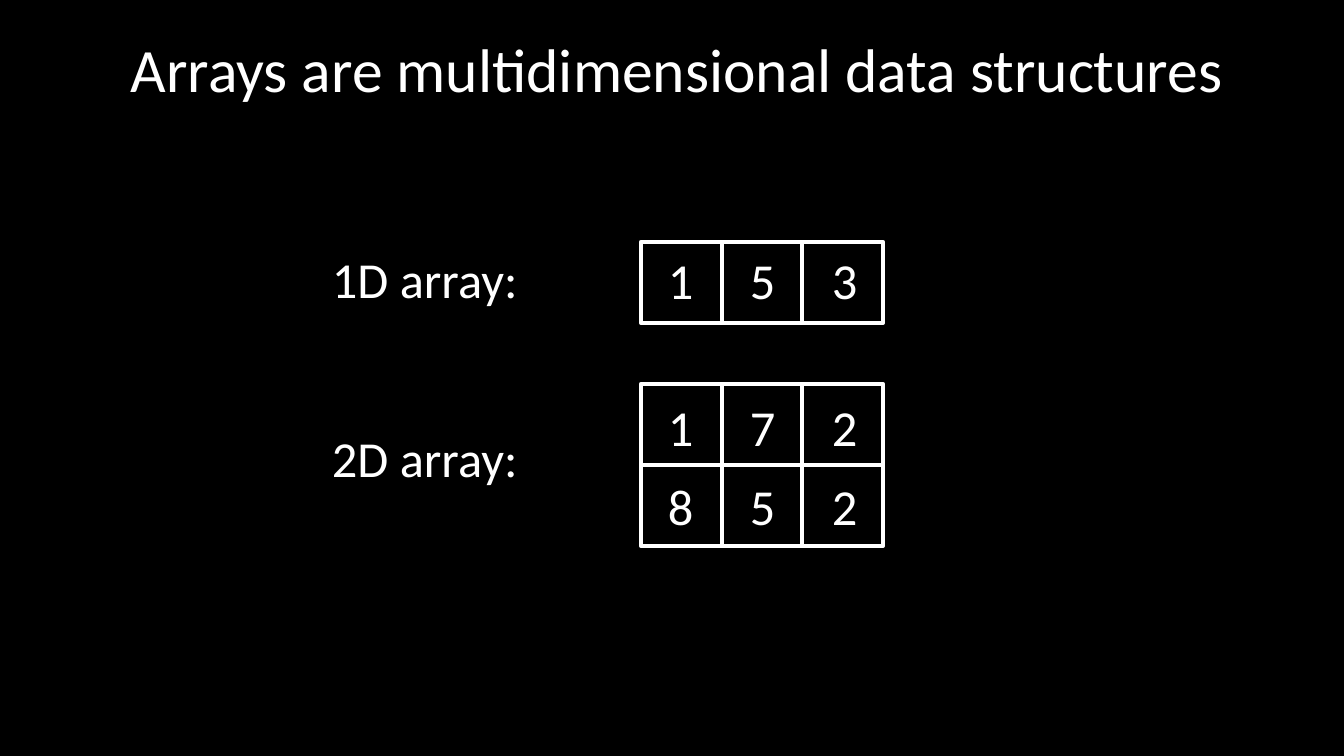
from dataclasses import dataclass

from pptx import Presentation
from pptx.dml.color import RGBColor
from pptx.enum.shapes import MSO_SHAPE
from pptx.enum.text import MSO_ANCHOR, PP_ALIGN
from pptx.util import Pt

RECTANGLE = MSO_SHAPE.RECTANGLE
TOP, MIDDLE = MSO_ANCHOR.TOP, MSO_ANCHOR.MIDDLE
LEFT, CENTER = PP_ALIGN.LEFT, PP_ALIGN.CENTER
PAGE_WIDTH, PAGE_HEIGHT = 1344, 756
EMU_PER_PX = 12192000 / PAGE_WIDTH


@dataclass(frozen=True)
class Theme:
    background: RGBColor = RGBColor(0, 0, 0)
    ink: RGBColor = RGBColor(255, 255, 255)
    font: str = "Calibri"
    title_size: int = 44
    body_size: int = 36
    border: int = 3


@dataclass(frozen=True)
class Box:
    left: int
    top: int
    width: int
    height: int

    def emu(self):
        lengths = (self.left, self.top, self.width, self.height)
        return [px(length) for length in lengths]


THEME = Theme()


def px(length):
    return round(length * EMU_PER_PX)


def apply_format(target, values):
    for name, value in values.items():
        setattr(target, name, value)


def add_text(page, box, text, size=THEME.body_size, frame_format=None, para_format=None):
    frame = page.shapes.add_textbox(*box.emu()).text_frame
    apply_format(frame, {"word_wrap": True, "vertical_anchor": TOP} | (frame_format or {}))
    para = frame.paragraphs[0]
    apply_format(para, {"alignment": LEFT} | (para_format or {}))
    span = para.add_run()
    span.text = text
    apply_format(span.font, {"name": THEME.font, "size": Pt(size)})
    span.font.color.rgb = THEME.ink


def add_title(page, box, text):
    add_text(page, box, text, THEME.title_size,
             {"vertical_anchor": MIDDLE}, {"alignment": CENTER, "line_spacing": 0.9})


def add_cells(page, box, row_count, column_count):
    group = page.shapes.add_group_shape()
    width, height = box.width / column_count, box.height / row_count
    for row in range(row_count):
        for column in range(column_count):
            cell_box = Box(box.left + column * width, box.top + row * height, width, height)
            cell = group.shapes.add_shape(RECTANGLE, *cell_box.emu())
            cell.shadow.inherit = False
            cell.fill.background()
            cell.line.color.rgb = THEME.ink
            cell.line.width = Pt(THEME.border)


def add_digits(page, box, rows, inset):
    for row, digits in enumerate(rows):
        for column, digit in enumerate(digits):
            digit_box = Box(box.left + 17 + column * 82, box.top + inset + row * 79, 46, 71)
            add_text(page, digit_box, str(digit), frame_format={"word_wrap": False})


def add_array(page, box, label, label_offset, rows, digit_inset):
    add_text(page, Box(box.left, box.top + label_offset, 223, 132), label)
    cells_box = Box(box.left + 319, box.top, box.width - 319, box.height)
    add_cells(page, cells_box, len(rows), len(rows[0]))
    add_digits(page, cells_box, rows, digit_inset)


def main():
    deck = Presentation()
    deck.slide_width, deck.slide_height = px(PAGE_WIDTH), px(PAGE_HEIGHT)
    page = deck.slides.add_slide(deck.slide_layouts[6])
    page.background.fill.solid()
    page.background.fill.fore_color.rgb = THEME.background
    add_title(page, Box(98, 0, 1159, 146), "Arrays are multidimensional data structures")
    add_array(page, Box(322, 242, 561, 81), "1D array:", 1, [[1, 5, 3]], 2)
    add_array(page, Box(322, 384, 561, 162), "2D array:", 38, [[1, 7, 2], [8, 5, 2]], 7)
    deck.save("out.pptx")


if __name__ == "__main__":
    main()
